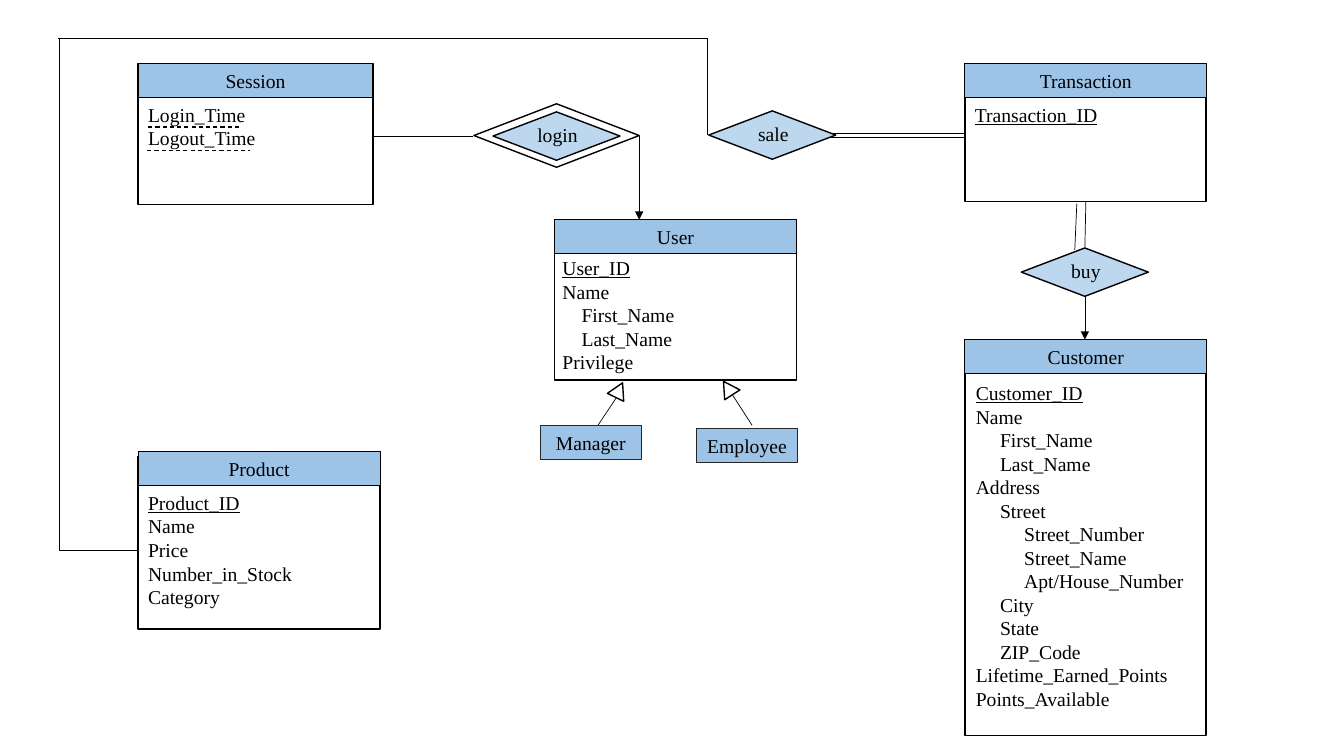
from dataclasses import dataclass

import pptx
import pptx.dml.color
import pptx.enum.dml
import pptx.enum.shapes
import pptx.enum.text
import pptx.oxml
import pptx.oxml.ns
import pptx.util
from pptx.util import Inches

SHAPE = pptx.enum.shapes.MSO_SHAPE
CONNECTOR = pptx.enum.shapes.MSO_CONNECTOR
ALIGN = pptx.enum.text.PP_ALIGN
DASH = pptx.enum.dml.MSO_LINE.DASH
BLACK = pptx.dml.color.RGBColor(0x00, 0x00, 0x00)
CHARCOAL = pptx.dml.color.RGBColor(0x26, 0x26, 0x26)
HEADER_BLUE = pptx.dml.color.RGBColor(0x9D, 0xC3, 0xE6)
DIAMOND_BLUE = pptx.dml.color.RGBColor(0xBD, 0xD7, 0xEE)
FONT_FORMAT = {"name": "Times New Roman", "size": pptx.util.Pt(14)}
LINE_PITCH = pptx.util.Pt(16.8)
ROW = 0.34
DIAMOND_W, DIAMOND_H = 1.26, 0.48


@dataclass
class Entity:
    name: str
    header: tuple[float, float, float]  # left, top, width
    body: tuple[float, float, float, float]
    list_at: tuple[float, float]
    attributes: list[tuple[str, int]]  # text, nesting level
    indent: float = 0.24
    has_key: bool = True


@dataclass
class Relationship:
    name: str
    left: float
    top: float


@dataclass
class Subtype:
    name: str
    left: float
    top: float
    triangle: tuple[float, float, float]  # left, top, rotation
    link: tuple[float, float, float, float]


@dataclass
class Link:
    ends: tuple[float, float, float, float]
    width: float = 0.5
    arrow: bool = False
    dashed: bool = False


ENTITIES = [
    Entity("User", (5.5, 2.18, 2.4), (5.5, 2.19, 2.4, 1.58), (5.48, 2.49),
           [("User_ID", 0), ("Name", 0), ("First_Name", 1), ("Last_Name", 1),
            ("Privilege", 0)], indent=0.19),
    Entity("Session", (1.37, 0.63, 2.33), (1.37, 0.63, 2.33, 1.4), (1.37, 0.97),
           [("Login_Time", 0), ("Logout_Time", 0)], has_key=False),
    Entity("Transaction", (9.57, 0.63, 2.4), (9.57, 0.63, 2.39, 1.37), (9.57, 0.97),
           [("Transaction_ID", 0)]),
    Entity("Customer", (9.57, 3.37, 2.4), (9.57, 3.37, 2.39, 3.93), (9.58, 3.73),
           [("Customer_ID", 0), ("Name", 0), ("First_Name", 1), ("Last_Name", 1),
            ("Address", 0), ("Street", 1), ("Street_Number", 2), ("Street_Name", 2),
            ("Apt/House_Number", 2), ("City", 1), ("State", 1), ("ZIP_Code", 1),
            ("Lifetime_Earned_Points", 0), ("Points_Available", 0)]),
    Entity("Product", (1.37, 4.48, 2.4), (1.37, 4.53, 2.4, 1.71), (1.37, 4.82),
           [("Product_ID", 0), ("Name", 0), ("Price", 0), ("Number_in_Stock", 0),
            ("Category", 0)]),
]
RELATIONSHIPS = [
    Relationship("login", 4.89, 1.11),
    Relationship("sale", 7.03, 1.1),
    Relationship("buy", 10.13, 2.46),
]
SUBTYPES = [
    Subtype("Manager", 5.36, 4.22, (6.05, 3.79, 26), (6.11, 3.95, 5.91, 4.25)),
    Subtype("Employee", 6.91, 4.25, (7.13, 3.77, 327), (7.26, 3.91, 7.46, 4.22)),
]
LINKS = [
    # Session to User
    Link((4.69, 1.35, 3.7, 1.35)),
    Link((6.34, 1.35, 6.34, 2.18), arrow=True),
    # Partial keys of Session
    Link((1.47, 1.26, 2.38, 1.26), width=0.75, dashed=True),
    Link((1.46, 1.49, 2.48, 1.49), width=0.75, dashed=True),
    # Sale to Transaction, total participation
    Link((9.58, 1.32, 8.24, 1.32)),
    Link((9.58, 1.36, 8.24, 1.36)),
    # Transaction to Customer
    Link((10.68, 2.02, 10.66, 2.48)),
    Link((10.77, 2, 10.76, 2.46)),
    Link((10.76, 2.94, 10.76, 3.37), arrow=True),
    # Sale towards Product
    Link((7.02, 1.34, 7.02, 0.38)),
    Link((7.02, 0.38, 0.58, 0.38)),
]

deck = pptx.Presentation()
deck.slide_width, deck.slide_height = Inches(13.33), Inches(7.5)
slide = deck.slides.add_slide(deck.slide_layouts[6])


def write(paragraph, text: str, underline: bool = False) -> None:
    run = paragraph.add_run()
    run.text = text
    for attribute, value in FONT_FORMAT.items():
        setattr(run.font, attribute, value)
    run.font.color.rgb = BLACK
    if underline:
        run.font.underline = True
    paragraph.line_spacing = LINE_PITCH


def draw_shape(kind, left: float, top: float, width: float, height: float,
               fill=None, line=BLACK, weight: float = 1, text: str = ""):
    shape = slide.shapes.add_shape(
        kind, Inches(left), Inches(top), Inches(width), Inches(height))
    shape.shadow.inherit = False
    if fill is None:
        shape.fill.background()
    else:
        shape.fill.solid()
        shape.fill.fore_color.rgb = fill
    shape.line.color.rgb = line
    shape.line.width = pptx.util.Pt(weight)
    if text:
        shape.text_frame.word_wrap = False
        paragraph = shape.text_frame.paragraphs[0]
        paragraph.alignment = ALIGN.CENTER
        write(paragraph, text)
    return shape


def add_text_box(left: float, top: float, width: float, height: float):
    frame = slide.shapes.add_textbox(
        Inches(left), Inches(top), Inches(width), Inches(height)).text_frame
    frame.word_wrap = True
    return frame


def draw_entity(entity: Entity) -> None:
    draw_shape(SHAPE.RECTANGLE, *entity.body)
    draw_shape(SHAPE.RECTANGLE, *entity.header, ROW, HEADER_BLUE,
               weight=0.75, text=entity.name)
    height = 0.1 + 0.235 * len(entity.attributes)
    frame = add_text_box(*entity.list_at, 2.4, height)
    for index, (text, level) in enumerate(entity.attributes):
        paragraph = frame.add_paragraph() if index else frame.paragraphs[0]
        write(paragraph, text, underline=entity.has_key and index == 0)
        if level:
            margin = Inches(level * entity.indent)
            paragraph._p.get_or_add_pPr().set("marL", str(margin))


def draw_relationship(relationship: Relationship) -> None:
    left, top = relationship.left, relationship.top
    draw_shape(SHAPE.DIAMOND, left, top, DIAMOND_W, DIAMOND_H, DIAMOND_BLUE)
    label = add_text_box(left + 0.24, top + 0.06, 0.8, ROW).paragraphs[0]
    label.alignment = ALIGN.CENTER
    write(label, relationship.name)


def draw_link(link: Link, kind=CONNECTOR.STRAIGHT):
    connector = slide.shapes.add_connector(kind, *map(Inches, link.ends))
    connector.line.color.rgb = BLACK
    connector.line.width = pptx.util.Pt(link.width)
    if link.dashed:
        connector.line.dash_style = DASH
    properties = connector._element.spPr
    if link.arrow:
        head = pptx.oxml.parse_xml(
            f'<a:tailEnd {pptx.oxml.ns.nsdecls("a")} type="triangle"/>')
        properties.find(pptx.oxml.ns.qn("a:ln")).append(head)
    properties.append(pptx.oxml.parse_xml(
        f'<a:effectLst {pptx.oxml.ns.nsdecls("a")}/>'))
    return connector


def draw_subtype(subtype: Subtype) -> None:
    left, top, rotation = subtype.triangle
    triangle = draw_shape(SHAPE.ISOSCELES_TRIANGLE, left, top, 0.18, 0.16)
    triangle.rotation = rotation
    draw_link(Link(subtype.link))
    draw_shape(SHAPE.RECTANGLE, subtype.left, subtype.top, 1, ROW, HEADER_BLUE,
               CHARCOAL, 0.75, subtype.name)


# Entities, their relationships and the subtypes of User
for entity in ENTITIES:
    draw_entity(entity)
for relationship in RELATIONSHIPS:
    draw_relationship(relationship)
draw_shape(SHAPE.DIAMOND, 4.7, 1.03, 1.64, 0.63)  # identifying outline of login
for subtype in SUBTYPES:
    draw_subtype(subtype)

# Links; the last one turns a single corner into Product
for link in LINKS:
    draw_link(link)
product_link = draw_link(Link((3.52, 2.53, -1.56, 3.31)), CONNECTOR.ELBOW)
product_spPr = product_link._element.spPr
product_spPr.find(pptx.oxml.ns.qn("a:xfrm")).set("rot", str(270 * 60000))
product_spPr.find(pptx.oxml.ns.qn("a:prstGeom")).set("prst", "bentConnector2")

deck.save("out.pptx")
